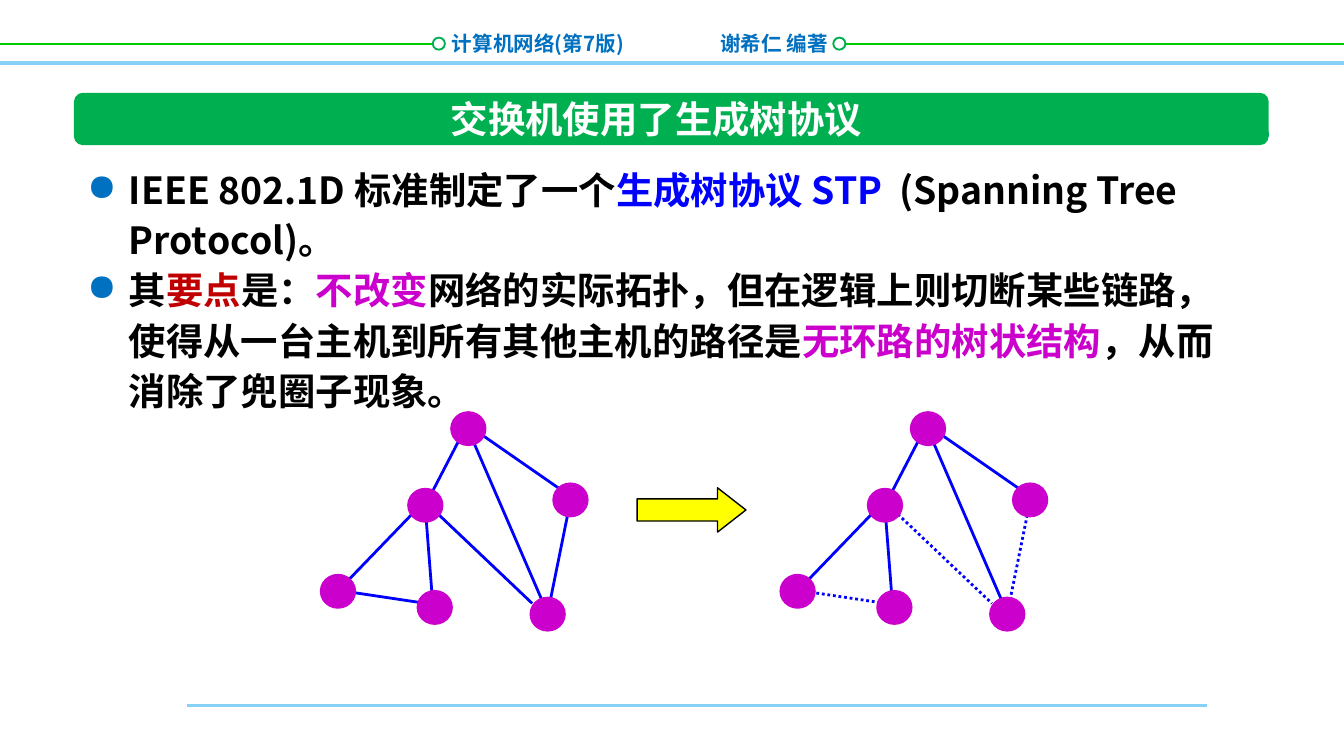
from typing import NamedTuple

from lxml import etree
from pptx import Presentation
from pptx.dml.color import RGBColor
from pptx.enum.dml import MSO_LINE
from pptx.enum.shapes import MSO_CONNECTOR, MSO_SHAPE
from pptx.enum.text import MSO_AUTO_SIZE, PP_ALIGN
from pptx.oxml.ns import qn
from pptx.util import Inches, Pt

STRAIGHT = MSO_CONNECTOR.STRAIGHT
DOTS = MSO_LINE.ROUND_DOT
OVAL = MSO_SHAPE.OVAL
ROUNDED = MSO_SHAPE.ROUNDED_RECTANGLE
ARROW = MSO_SHAPE.RIGHT_ARROW
GROW = MSO_AUTO_SIZE.SHAPE_TO_FIT_TEXT
LEFT, CENTER, RIGHT = PP_ALIGN.LEFT, PP_ALIGN.CENTER, PP_ALIGN.RIGHT

FONT = "Noto Sans CJK SC"
COLORS = {
    "sky": "85D1F7", "lime": "00CC00", "green": "00B050", "azure": "0070C0",
    "blue": "0000FF", "red": "C00000", "pink": "CC00CC", "yellow": "FFFF00",
    "black": "000000", "white": "FFFFFF",
}


class Box(NamedTuple):
    left: float
    top: float
    width: float
    height: float


class Link(NamedTuple):
    x1: float
    y1: float
    x2: float
    y2: float
    cut: bool = False


class Rule(NamedTuple):
    link: Link
    color: str
    weight: float


class Label(NamedTuple):
    text: str
    box: Box
    size: float
    color: str
    align: PP_ALIGN
    wrap: bool


RULES = [
    Rule(Link(0, 0.47, 10, 0.47), "sky", 2),
    Rule(Link(0, 0.33, 3.24, 0.33), "lime", 1),
    Rule(Link(6.2, 0.33, 10, 0.33), "lime", 1),
    Rule(Link(1.39, 5.25, 8.98, 5.25), "sky", 1.5),
]
LABELS = [
    Label("谢希仁 编著", Box(5.26, 0.18, 1.16, 0.29), 11, "azure", LEFT, True),
    Label("计算机网络(第7版)", Box(3.24, 0.18, 1.5, 0.29), 11, "azure", RIGHT, True),
    Label("交换机使用了生成树协议", Box(3.24, 0.67, 3.29, 0.44), 20, "white", CENTER, False),
]
POINTS = [
    [("IEEE 802.1D 标准制定了一个", "black"), ("生成树协议 STP  ", "blue"),
     ("(Spanning Tree Protocol)。", "black")],
    [("其", "black"), ("要点", "red"), ("是：", "black"), ("不改变", "pink"),
     ("网络的实际拓扑，但在逻辑上则切断某些链路，使得从一台主机到所有其他主机的路径是", "black"),
     ("无环路的树状结构", "pink"), ("，从而消除了兜圈子现象。", "black")],
]
LINKS = [
    Link(3.46, 3.19, 3.17, 3.75),
    Link(3.52, 3.19, 4.24, 3.69),
    Link(3.17, 3.74, 3.96, 4.49, True),
    Link(4.24, 3.75, 4.08, 4.54, True),
    Link(3.52, 3.28, 4.03, 4.46),
    Link(2.57, 4.34, 3.1, 3.79),
    Link(3.22, 4.49, 3.16, 3.72),
    Link(3.17, 4.49, 2.57, 4.4, True),
]
NODES = [(3.35, 3.06), (4.11, 3.59), (3.94, 4.44), (2.38, 4.27), (3.1, 4.39), (3.03, 3.63)]
SHIFT = 3.42


def paint(hue: str) -> RGBColor:
    return RGBColor.from_string(COLORS[hue])


def draw_line(slide, link: Link, color: str, weight: float, dotted: bool = False) -> None:
    line = slide.shapes.add_connector(STRAIGHT, *map(Inches, link[:4]))
    line.line.color.rgb = paint(color)
    line.line.width = Pt(weight)
    if dotted:
        line.line.dash_style = DOTS
    etree.SubElement(line._element.spPr, qn("a:effectLst"))


def draw_shape(slide, kind: MSO_SHAPE, box: Box, fill: str, edge: str = "", weight: float = 1):
    shape = slide.shapes.add_shape(kind, *map(Inches, box))
    shape.shadow.inherit = False
    shape.fill.solid()
    shape.fill.fore_color.rgb = paint(fill)
    if edge:
        shape.line.color.rgb = paint(edge)
        shape.line.width = Pt(weight)
    else:
        shape.line.fill.background()
    return shape


def style(run, size: float, color: str) -> None:
    run.font.size = Pt(size)
    run.font.bold = True
    run.font.name = FONT
    run.font.color.rgb = paint(color)
    etree.SubElement(run._r.get_or_add_rPr(), qn("a:ea"), typeface=FONT)


def add_frame(slide, box: Box, wrap: bool):
    frame = slide.shapes.add_textbox(*map(Inches, box)).text_frame
    frame.word_wrap = wrap
    frame.auto_size = GROW
    return frame


def draw_label(slide, label: Label) -> None:
    frame = add_frame(slide, label.box, label.wrap)
    frame.text = label.text
    para = frame.paragraphs[0]
    para.alignment = label.align
    style(para.runs[0], label.size, label.color)


def add_bullet(para) -> None:
    props = para._p.get_or_add_pPr()
    props.set("marL", str(Inches(0.31)))
    props.set("indent", str(-Inches(0.31)))
    hue = etree.SubElement(props, qn("a:buClr"))
    etree.SubElement(hue, qn("a:srgbClr"), val=COLORS["azure"])
    etree.SubElement(props, qn("a:buFont"), typeface="OpenSymbol")
    etree.SubElement(props, qn("a:buChar"), char="●")


def draw_points(slide, box: Box) -> None:
    frame = add_frame(slide, box, True)
    for index, parts in enumerate(POINTS):
        para = frame.add_paragraph() if index else frame.paragraphs[0]
        add_bullet(para)
        para.line_spacing = Pt(27)
        for text, color in parts:
            run = para.add_run()
            run.text = text
            style(run, 20, color)


def draw_graph(slide, shift: float, pruned: bool) -> None:
    for link in LINKS:
        moved = link._replace(x1=link.x1 + shift, x2=link.x2 + shift)
        draw_line(slide, moved, "blue", 1.5, pruned and link.cut)
    for left, top in NODES:
        draw_shape(slide, OVAL, Box(left + shift, top, 0.27, 0.26), "pink")


def main() -> None:
    """Build the spanning tree slide and save it."""
    deck = Presentation()
    deck.slide_width, deck.slide_height = Inches(10), Inches(10 * 9 / 16)
    slide = deck.slides.add_slide(deck.slide_layouts[6])
    for rule in RULES:
        draw_line(slide, rule.link, rule.color, rule.weight)
    for left in (3.22, 6.2):
        draw_shape(slide, OVAL, Box(left, 0.28, 0.09, 0.09), "white", "green")
    banner = draw_shape(slide, ROUNDED, Box(0.55, 0.69, 8.89, 0.39), "green")
    banner.adjustments[0] = 0.17
    for label in LABELS:
        draw_label(slide, label)
    draw_points(slide, Box(0.55, 1.15, 8.85, 1.99))
    arrow = draw_shape(slide, ARROW, Box(4.74, 3.63, 0.81, 0.33), "yellow", "black", 0.75)
    arrow.adjustments[1] = 0.64
    draw_graph(slide, 0, False)
    draw_graph(slide, SHIFT, True)
    deck.save("out.pptx")


if __name__ == "__main__":
    main()
